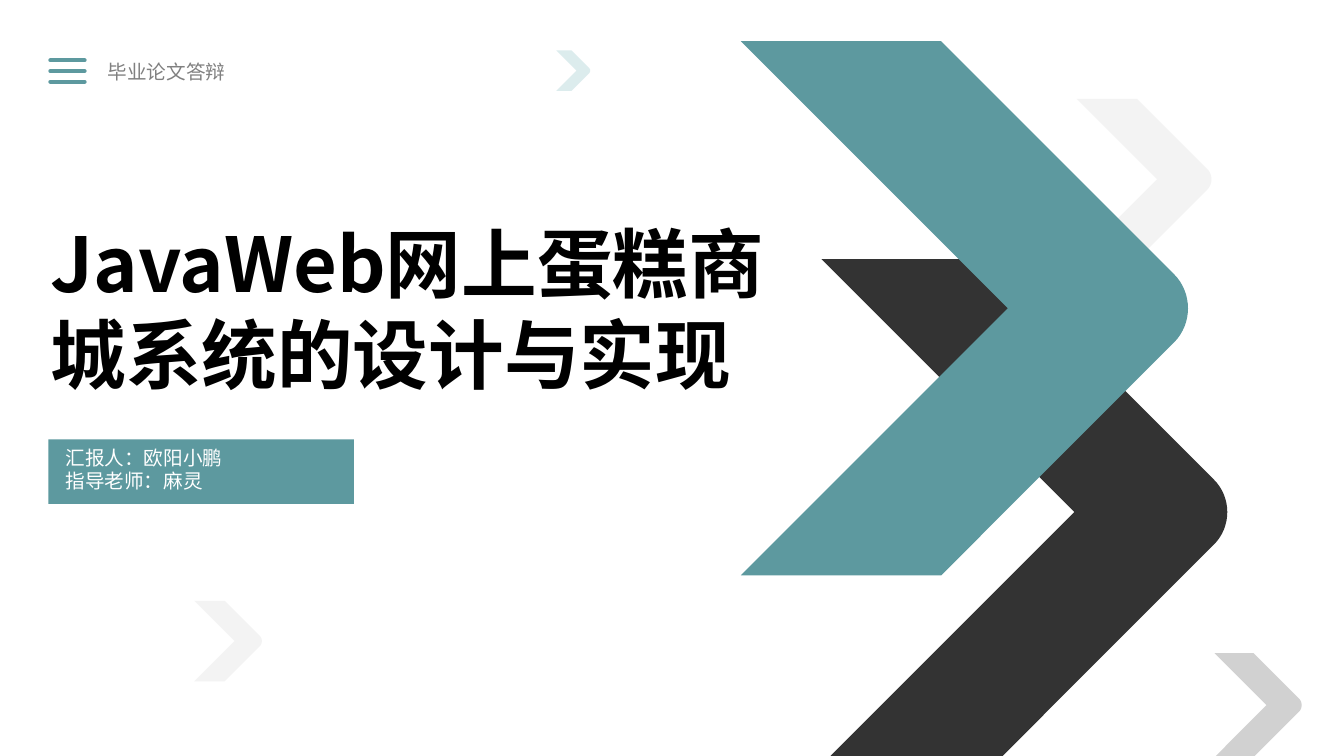
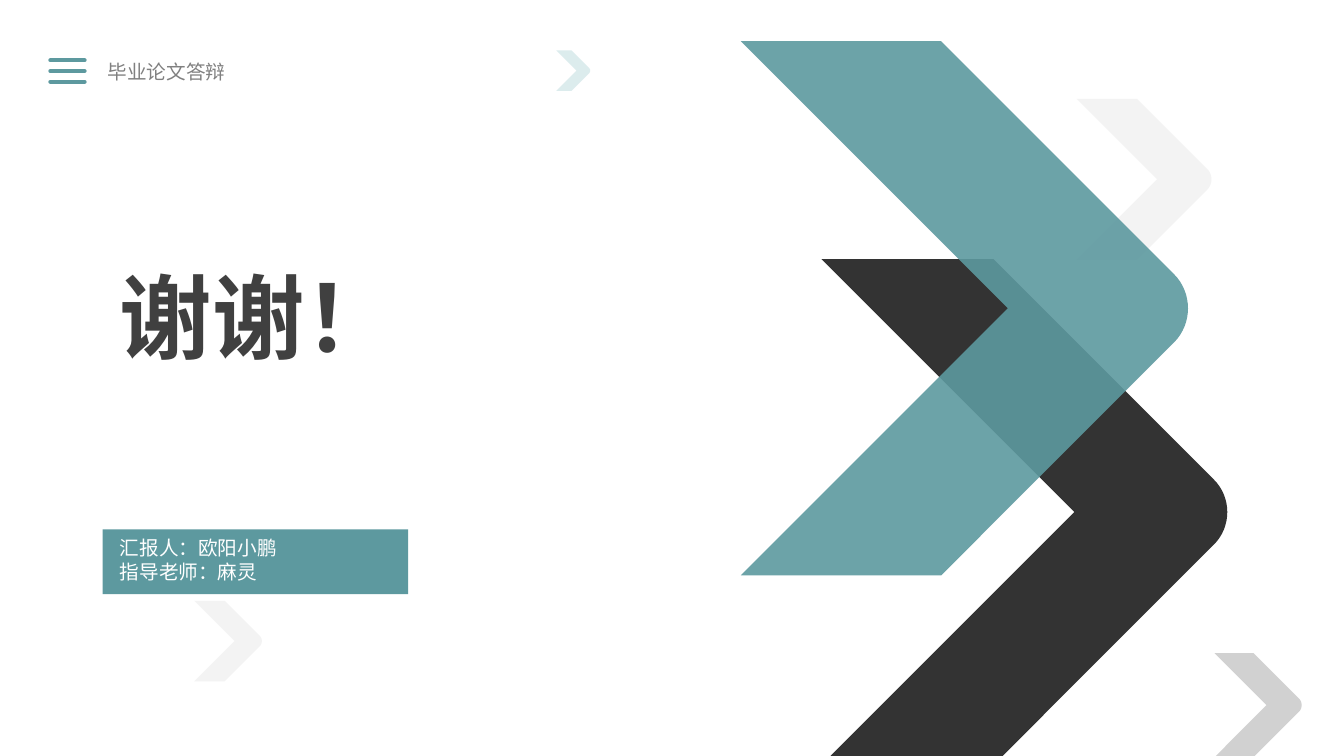
"""Build the opening and closing slides of a thesis defence."""
from dataclasses import dataclass

from lxml import etree
from pptx import Presentation
from pptx.dml.color import RGBColor
from pptx.enum import shapes, text
from pptx.oxml import ns
from pptx.util import Cm, Pt


@dataclass(frozen=True)
class Theme:
    teal: str = "5D999F"
    pale_teal: str = "D9EAEC"
    black: str = "000000"
    charcoal: str = "404040"
    grey: str = "808080"
    silver: str = "CCCCCC"
    mist: str = "F2F2F2"
    white: str = "FFFFFF"
    latin: str = "Quicksand"
    cjk: str = "Noto Sans CJK SC"
    small: int = 14
    leading: float = 1.2
    rule: int = 3


T = Theme()
WIDTH, HEIGHT = 33.87, 19.05
HEADER = "毕业论文答辩"
PEOPLE = ["汇报人：欧阳小鹏", "指导老师：麻灵"]

SLIDES = [
    dict(title="JavaWeb网上蛋糕商城系统的设计与实现", box=(1.02, 5.33, 19.86, 4.7),
         size=54, font=T.cjk, color=T.black, badge=(1.22, 11.07), teal_alpha=100),
    dict(title="谢谢！", box=(2.77, 6.43, 8, 3.07),
         size=66, font=T.latin, color=T.charcoal, badge=(2.59, 13.34), teal_alpha=90),
]

ARM = 0.375
DARK_ARM = 0.34
BIG_TEAL = (18.67, 1.04, 13.46, ARM, T.teal)
CHEVRONS = [
    (27.13, 2.49, 4.06, ARM, T.mist, 90),
    (20.7, 6.53, 12.75, DARK_ARM, T.black, 80),
    (30.61, 16.46, 2.62, ARM, T.silver, 90),
    (4.9, 15.14, 2.03, ARM, T.mist, 90),
    (14.02, 1.27, 1.02, ARM, T.pale_teal, 90),
]


def rgb(value):
    return RGBColor.from_string(value)


def fill_shape(sp, color, alpha=100):
    sp.shadow.inherit = False
    sp.fill.solid()
    sp.fill.fore_color.rgb = rgb(color)
    sp.line.fill.background()
    if alpha < 100:
        clr = sp._element.spPr.find(ns.qn("a:solidFill")).find(ns.qn("a:srgbClr"))
        etree.SubElement(clr, ns.qn("a:alpha"), val=str(alpha * 1000))


def rounded_tip(arm, steps=16):
    """Return the rounded tip for a chevron of unit height."""
    start, bend = 0.436, 0.471
    ys = (start, bend, 1 - bend, 1 - start)
    xs = (arm + start, arm + bend, arm + bend, arm + start)
    points = []
    for i in range(steps + 1):
        t = i / steps
        weights = ((1 - t) ** 3, 3 * t * (1 - t) ** 2, 3 * t * t * (1 - t), t ** 3)
        points.append(tuple(sum(w * v for w, v in zip(weights, vs)) for vs in (xs, ys)))
    return points


def add_chevron(s, left, top, height, arm, color, alpha):
    end = min(1, (HEIGHT - top) / height)
    unit = [(0, 0), (arm, 0), *rounded_tip(arm),
            (arm + 1 - end, end), (1 - end, end), (0.5, 0.5)]
    points = [(Cm(left + x * height), Cm(top + y * height)) for x, y in unit]
    builder = s.shapes.build_freeform(*points[0])
    builder.add_line_segments(points[1:], close=True)
    fill_shape(builder.convert_to_shape(), color, alpha)


def set_text(sp, lines, size, color, font=T.latin, bold=False):
    tf = sp.text_frame
    tf.word_wrap = True
    tf.auto_size = text.MSO_AUTO_SIZE.NONE
    tf.vertical_anchor = text.MSO_ANCHOR.TOP
    tf.text = "\n".join(lines)
    for p in tf.paragraphs:
        p.alignment = text.PP_ALIGN.LEFT
        p.line_spacing = Pt(round(size * T.leading))
        for r in p.runs:
            r.font.size = Pt(size)
            r.font.bold = bold
            r.font.name = font
            r.font.color.rgb = rgb(color)
            etree.SubElement(r.font._element, ns.qn("a:ea"), typeface=T.cjk)


def add_header(s):
    for i in range(3):
        y = Cm(1.52 + i * 0.27)
        line = s.shapes.add_connector(shapes.MSO_CONNECTOR.STRAIGHT, Cm(1.27), y, Cm(2.13), y)
        line.line.color.rgb = rgb(T.teal)
        line.line.width = Pt(T.rule)
        spPr = line._element.spPr
        spPr.find(ns.qn("a:ln")).set("cap", "rnd")
        etree.SubElement(spPr, ns.qn("a:effectLst"))
    label = s.shapes.add_textbox(Cm(2.46), Cm(1.37), Cm(9.8), Cm(0.86))
    set_text(label, [HEADER], T.small, T.grey)


def add_badge(s, left, top):
    sp = s.shapes.add_shape(shapes.MSO_SHAPE.RECTANGLE, Cm(left), Cm(top), Cm(7.7), Cm(1.63))
    fill_shape(sp, T.teal)
    sp.text_frame.margin_left = Cm(0.43)
    sp.text_frame.margin_top = Cm(0.15)
    set_text(sp, PEOPLE, T.small, T.white)


def add_slide(prs, content):
    s = prs.slides.add_slide(prs.slide_layouts[5])
    for chevron in CHEVRONS[:2] + [(*BIG_TEAL, content["teal_alpha"])] + CHEVRONS[2:]:
        add_chevron(s, *chevron)
    title = s.shapes.title
    title.left, title.top, title.width, title.height = map(Cm, content["box"])
    set_text(title, [content["title"]], content["size"], content["color"], content["font"], True)
    s.shapes._spTree.append(title._element)
    add_header(s)
    add_badge(s, *content["badge"])


def main():
    prs = Presentation()
    prs.slide_width, prs.slide_height = Cm(WIDTH), Cm(HEIGHT)
    for content in SLIDES:
        add_slide(prs, content)
    prs.save("out.pptx")


if __name__ == "__main__":
    main()
